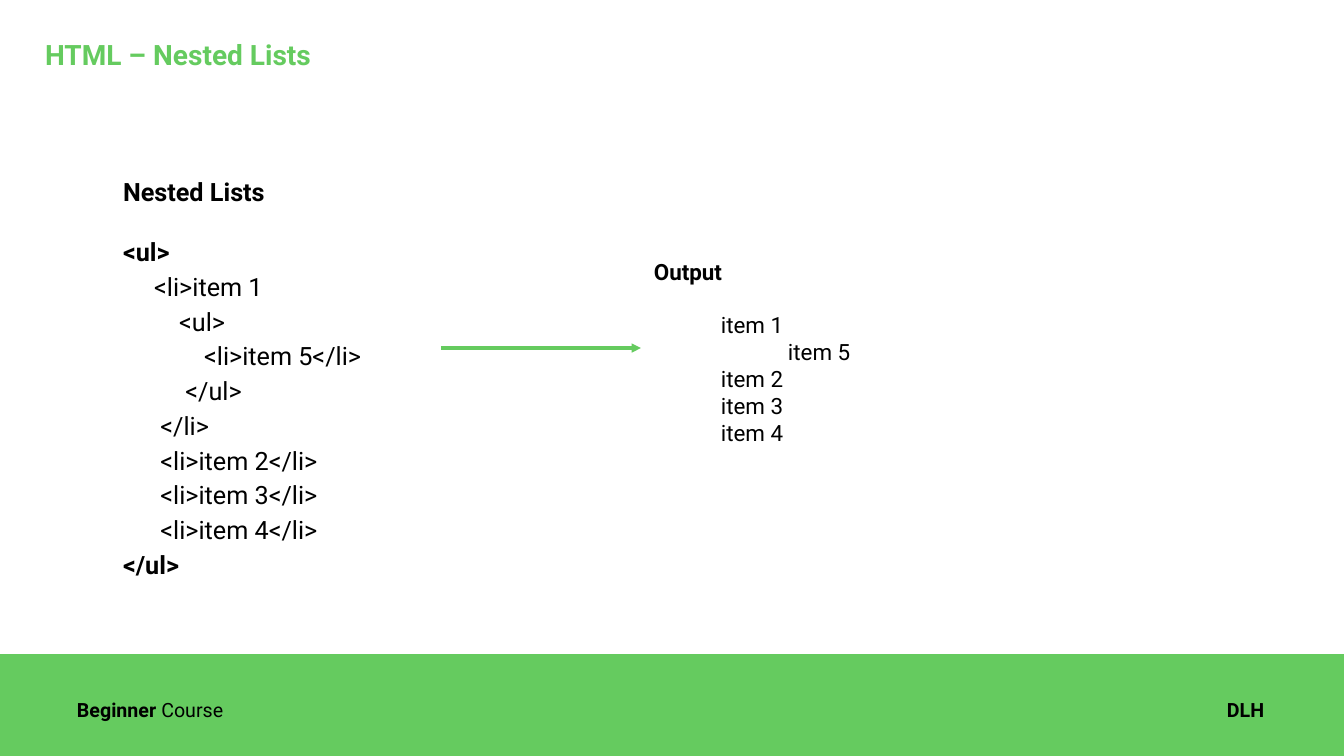
import pptx
import pptx.dml.color
import pptx.enum.shapes
import pptx.enum.text
import pptx.oxml
import pptx.oxml.ns
import pptx.util

PX = 914400 / 100.8
GREEN, BLACK, WHITE = "65CB5F", "000000", "FFFFFF"
RECTANGLE = pptx.enum.shapes.MSO_SHAPE.RECTANGLE


def color(value):
    return pptx.dml.color.RGBColor.from_string(value)


def write(box, lines, size, ink=BLACK, inset=(10, 5), wrap=True):
    """Each line is a list of (text, bold) runs and a dict of paragraph formats."""
    frame = box.text_frame
    across, down = (round(value * PX) for value in inset)
    settings = {
        "word_wrap": wrap,
        "vertical_anchor": pptx.enum.text.MSO_ANCHOR.TOP,
        "margin_left": across, "margin_right": across,
        "margin_top": down, "margin_bottom": down,
    }
    for name, value in settings.items():
        setattr(frame, name, value)
    for number, (runs, formats) in enumerate(lines):
        para = frame.paragraphs[0] if number == 0 else frame.add_paragraph()
        para.alignment = pptx.enum.text.PP_ALIGN.LEFT
        for name, value in formats.items():
            if name == "indent":
                properties = para._p.get_or_add_pPr()
                properties.set("marL", str(round(value * PX)))
                properties.set("indent", "0")
            else:
                setattr(para, name, value)
        for text, bold in runs:
            span = para.add_run()
            span.text = text
            font = {"name": "Roboto", "size": pptx.util.Pt(size), "bold": bold}
            for name, value in font.items():
                setattr(span.font, name, value)
            span.font.color.rgb = color(ink)


deck = pptx.Presentation()
deck.slide_width, deck.slide_height = round(1344 * PX), round(756 * PX)
page = deck.slides.add_slide(deck.slide_layouts[6])

# Code listing
code = [
    "     <li>item 1",
    "         <ul>",
    "             <li>item 5</li>",
    "          </ul>",
    "      </li>",
    "      <li>item 2</li>",
    "      <li>item 3</li>",
    "      <li>item 4</li>",
]
listing = [
    ([("Nested Lists", True)], {}),
    ([("<ul>", True)], {"space_before": pptx.util.Pt(21.5)}),
]
listing += [([(line, False)], {"line_spacing": 1.15}) for line in code]
listing.append(([("</ul>", True)], {"line_spacing": 1.15}))
code_box = page.shapes.add_textbox(*[round(v * PX) for v in (110, 163, 361, 440)])
write(code_box, listing, 18, inset=(13, 13))

# Rendered output
output_box = page.shapes.add_shape(RECTANGLE, *[round(v * PX) for v in (641, 245, 249, 233)])
output_box.shadow.inherit = False
output_box.fill.background()
output_box.line.color.rgb = color(WHITE)
output_box.line.width = pptx.util.Pt(0.75)
output = [([("Output", True)], {})]
for item, level in (("item 1", 0), ("item 5", 1), ("item 2", 0), ("item 3", 0), ("item 4", 0)):
    output.append(([(item, False)], {"level": level, "indent": 67 * (level + 1)}))
output[1][1]["space_before"] = pptx.util.Pt(19)
write(output_box, output, 16, inset=(13, 13))

# Footer band
band = page.shapes.add_shape(RECTANGLE, *[round(v * PX) for v in (0, 655, 1344, 101)])
band.shadow.inherit = False
band.fill.solid()
band.fill.fore_color.rgb = color(GREEN)
band.line.color.rgb = color(GREEN)
band.line.width = pptx.util.Pt(1)

# Footer labels and title
labels = [
    ((67, 693, 267, 30), [("Beginner ", True), ("Course", False)], 14, BLACK, True),
    ((1217, 693, 60, 30), [("DLH", True)], 14, BLACK, True),
    ((35, 32, 288, 44), [("HTML – Nested Lists", True)], 20, GREEN, False),
]
for place, runs, size, ink, wrap in labels:
    label = page.shapes.add_textbox(*[round(v * PX) for v in place])
    write(label, [(runs, {})], size, ink, wrap=wrap)

# Arrow from code to output
arrow = page.shapes.add_connector(
    pptx.enum.shapes.MSO_CONNECTOR.STRAIGHT, *[round(v * PX) for v in (441, 348, 641, 348)])
arrow.line.color.rgb = color(GREEN)
arrow.line.width = pptx.util.Pt(2.25)
head = pptx.oxml.parse_xml(
    f'<a:tailEnd {pptx.oxml.ns.nsdecls("a")} type="triangle"/>')
arrow.line._get_or_add_ln().append(head)
arrow._element.spPr.append(
    pptx.oxml.parse_xml(f'<a:effectLst {pptx.oxml.ns.nsdecls("a")}/>'))

deck.save("out.pptx")
